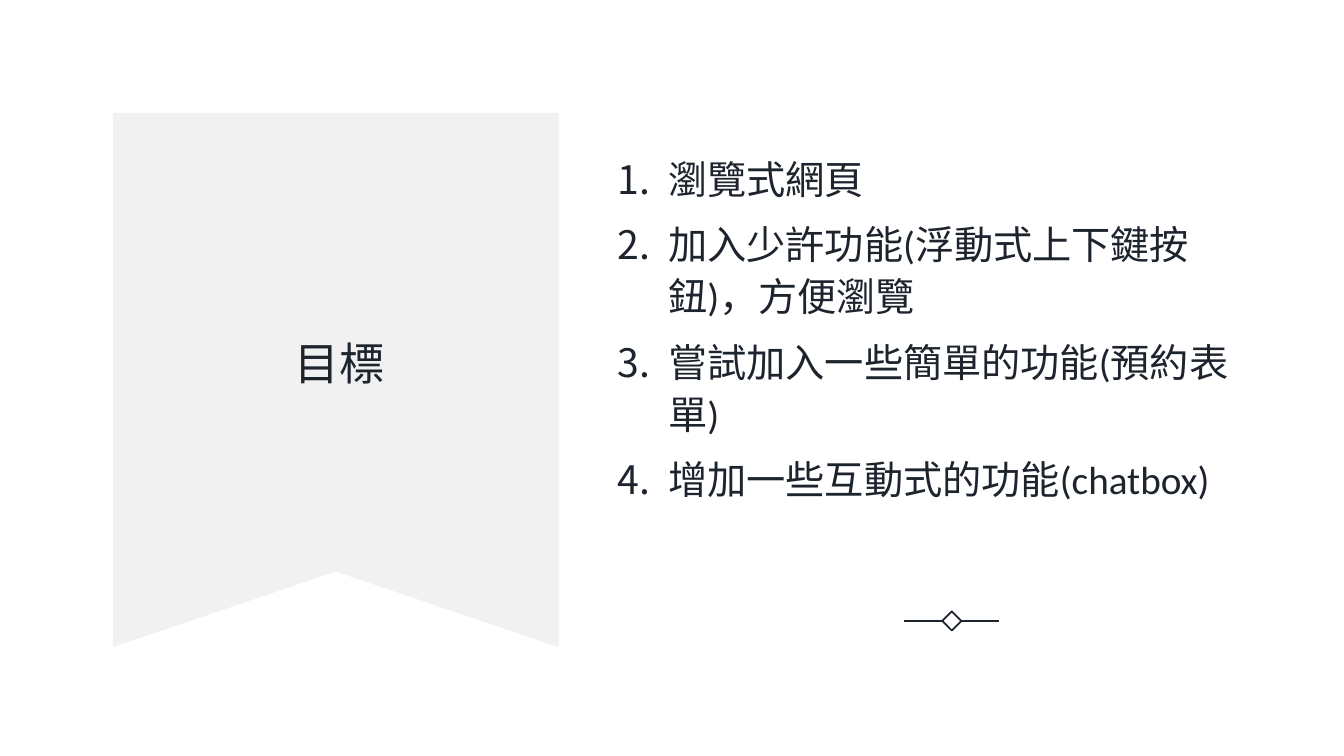
from pptx import Presentation
from pptx.dml.color import RGBColor
from pptx.enum import shapes, text
from pptx.oxml.ns import qn
from pptx.util import Inches, Pt
from lxml import etree

TITLE = "目標"
GOALS = [
    "瀏覽式網頁",
    "加入少許功能(浮動式上下鍵按鈕)，方便瀏覽",
    "嘗試加入一些簡單的功能(預約表單)",
    "增加一些互動式的功能(chatbox)",
]
THEME = {
    "font": "Calibri",
    "ink": RGBColor.from_string("1D242E"),
    "paper": RGBColor.from_string("FFFFFF"),
    "ribbon": RGBColor.from_string("F2F1F1"),
    "title": Pt(32),
    "body": Pt(28),
    "line": Pt(1.25),
}
RIBBON = [(1.12, 1.12), (5.54, 1.12), (5.54, 6.42), (3.33, 5.67), (1.12, 6.42)]
TITLE_BOX = (1.54, 1.9, 3.66, 3.35)
GOALS_BOX = (6.03, 1.13, 6.67, 4.22)
MARK = (9.44, 6.16)
GEM, GAP, ARM = 0.19, 0.09, 0.38
INDENT = Inches(0.5)


def add_text(slide, box, lines, size):
    """Add a middle-anchored text box and return its paragraphs."""
    frame = slide.shapes.add_textbox(*map(Inches, box)).text_frame
    frame.word_wrap = True
    frame.vertical_anchor = text.MSO_ANCHOR.MIDDLE
    frame.text = "\n".join(lines)
    for para in frame.paragraphs:
        para.line_spacing = 1.1
        for run in para.runs:
            run.font.name = THEME["font"]
            run.font.size = size
            run.font.color.rgb = THEME["ink"]
    return frame.paragraphs


def number(para):
    """Give a paragraph a hanging automatic number."""
    para.space_before = Pt(10)
    props = para._p.get_or_add_pPr()
    props.set("marL", str(INDENT))
    props.set("indent", str(-INDENT))
    etree.SubElement(props, qn("a:buFont"), typeface=THEME["font"])
    etree.SubElement(props, qn("a:buAutoNum"), type="arabicPeriod")


def add_ribbon(slide):
    start, *rest = [(Inches(x), Inches(y)) for x, y in RIBBON]
    pen = slide.shapes.build_freeform(*start)
    pen.add_line_segments(rest, close=True)
    ribbon = pen.convert_to_shape()
    ribbon.shadow.inherit = False
    ribbon.fill.solid()
    ribbon.fill.fore_color.rgb = THEME["ribbon"]
    ribbon.line.fill.background()


def ink_line(shape):
    shape.line.color.rgb = THEME["ink"]
    shape.line.width = THEME["line"]


def add_mark(slide):
    """Draw the diamond with a line on each side."""
    x, y = MARK
    gem = slide.shapes.add_shape(
        shapes.MSO_SHAPE.DIAMOND,
        Inches(x - GEM / 2), Inches(y - GEM / 2), Inches(GEM), Inches(GEM))
    gem.shadow.inherit = False
    gem.fill.background()
    ink_line(gem)
    for side in (-1, 1):
        near, far = x + side * GAP, x + side * (GAP + ARM)
        arm = slide.shapes.add_connector(
            shapes.MSO_CONNECTOR.STRAIGHT,
            Inches(near), Inches(y), Inches(far), Inches(y))
        ink_line(arm)
        etree.SubElement(arm._element.spPr, qn("a:effectLst"))


def main():
    deck = Presentation()
    deck.slide_width, deck.slide_height = Inches(13.33), Inches(7.5)
    slide = deck.slides.add_slide(deck.slide_layouts[6])
    slide.background.fill.solid()
    slide.background.fill.fore_color.rgb = THEME["paper"]
    add_ribbon(slide)
    for para in add_text(slide, TITLE_BOX, [TITLE], THEME["title"]):
        para.alignment = text.PP_ALIGN.CENTER
    for para in add_text(slide, GOALS_BOX, GOALS, THEME["body"]):
        number(para)
    add_mark(slide)
    deck.save("out.pptx")


if __name__ == "__main__":
    main()
